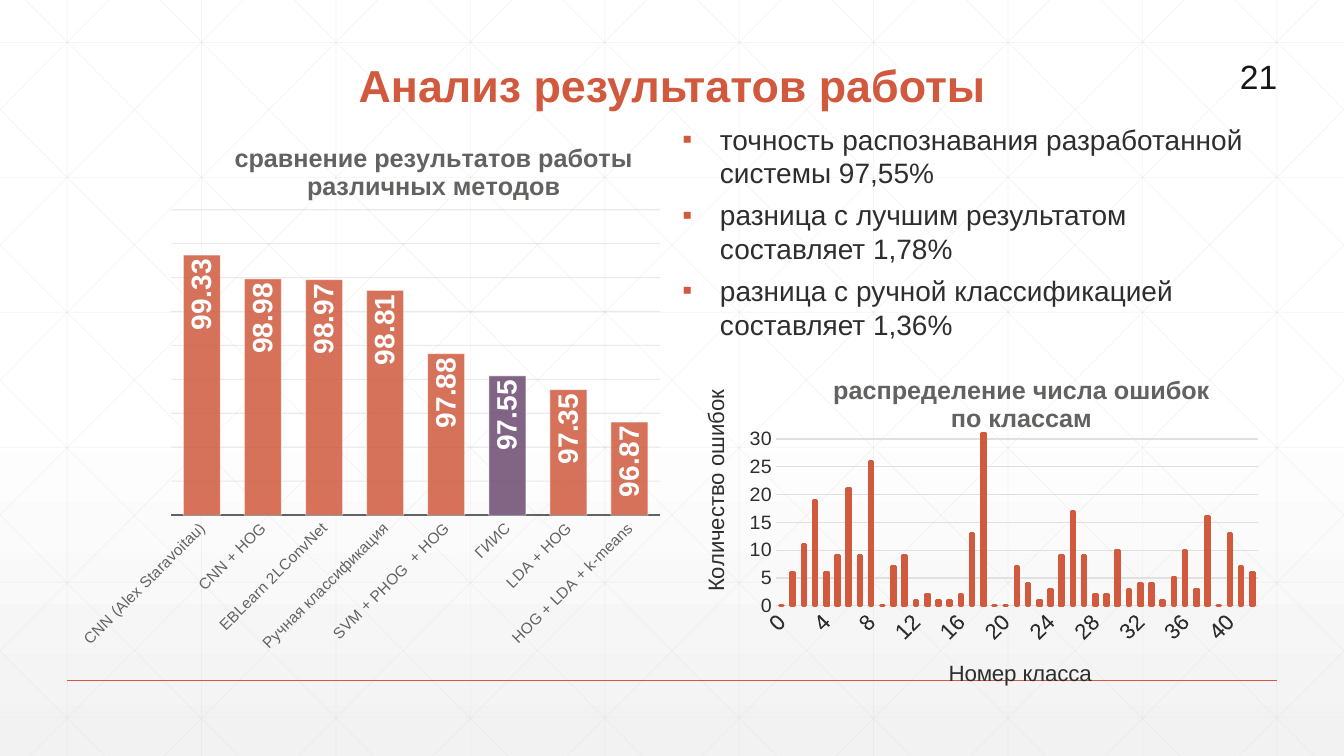
from dataclasses import dataclass

from lxml import etree
from pptx import Presentation
from pptx.chart.data import CategoryChartData
from pptx.dml.color import RGBColor
from pptx.enum.chart import XL_CHART_TYPE, XL_LABEL_POSITION, XL_TICK_MARK
from pptx.enum.shapes import MSO_CONNECTOR
from pptx.enum.text import MSO_ANCHOR, MSO_AUTO_SIZE, PP_ALIGN
from pptx.oxml.ns import qn
from pptx.util import Cm, Pt

COLUMNS = XL_CHART_TYPE.COLUMN_CLUSTERED
INSIDE_END = XL_LABEL_POSITION.INSIDE_END
NO_TICK = XL_TICK_MARK.NONE
STRAIGHT = MSO_CONNECTOR.STRAIGHT
MIDDLE, BOTTOM = MSO_ANCHOR.MIDDLE, MSO_ANCHOR.BOTTOM
LEFT, CENTER, RIGHT = PP_ALIGN.LEFT, PP_ALIGN.CENTER, PP_ALIGN.RIGHT

# Content
TITLE = "Анализ результатов работы"
PAGE_NUMBER = "21"
FINDINGS = [
    "точность распознавания разработанной системы 97,55%",
    "разница с лучшим результатом составляет 1,78%",
    "разница с ручной классификацией составляет 1,36%",
]
METHODS_TITLE = "сравнение результатов работы\nразличных методов"
OWN_METHOD = "ГИИС"
METHODS = {
    "CNN (Alex Staravoitau)": 99.33,
    "CNN + HOG": 98.98,
    "EBLearn 2LConvNet": 98.97,
    "Ручная классификация": 98.81,
    "SVM + PHOG  + HOG": 97.88,
    OWN_METHOD: 97.55,
    "LDA + HOG": 97.35,
    "HOG + LDA + k-means": 96.87,
}
ERRORS_TITLE = "распределение числа ошибок\nпо классам"
CLASS_AXIS, COUNT_AXIS = "Номер класса", "Количество ошибок"
ERRORS = [0, 6, 11, 19, 6, 9, 21, 9, 26, 0, 7, 9, 1, 2, 1, 1, 2, 13, 31, 0, 0, 7,
          4, 1, 3, 9, 17, 9, 2, 2, 10, 3, 4, 4, 1, 5, 10, 3, 16, 0, 13, 7, 6]


@dataclass(frozen=True)
class Theme:
    font: str = "Arial"
    accent: str = "D15A3E"
    highlight: str = "6D4A71"
    text: str = "2D2E2D"
    muted: str = "616361"
    number: str = "171717"
    white: str = "FFFFFF"
    shade: str = "F2F2F2"
    lattice: str = "D9D9D9"
    dark_grid: str = "373937"
    light_grid: str = "DFE0DF"
    title_size: int = 32
    number_size: int = 24
    body_size: int = 20
    chart_title_size: int = 18
    axis_size: int = 16
    value_size: int = 14
    method_size: int = 11


THEME = Theme()

# Geometry in centimetres: left, top, width, height
PAGE_WIDTH, PAGE_HEIGHT = 33.87, 19.05
TITLE_BOX = (3.61, 1.4, 26.67, 1.55)
NUMBER_BOX = (29.9, 1.6, 2.54, 0.61)
FINDINGS_BOX = (16.94, 2.95, 15.21, 5.82)
METHODS_BOX = (1.73, 2.95, 15.21, 13.74)
ERRORS_BOX = (16.97, 9.04, 15.19, 8.41)
LATTICE_STEP, ROW_TOP, ROW_STEP = PAGE_WIDTH / 10, 1.07, 3.4
DIAGONAL_START, DIAGONAL_SLOPE = 0.64, 1.006
RULE_TOP = 17.15


def color(code):
    return RGBColor.from_string(code)


def set_font(font, size, code, bold=False):
    font.name, font.size, font.bold = THEME.font, Pt(size), bold
    font.color.rgb = color(code)


def write(frame, text, size, code, bold=False, align=LEFT):
    frame.text = text
    for para in frame.paragraphs:
        para.alignment = align
        for span in para.runs:
            set_font(span.font, size, code, bold)


def place(shape, box):
    shape.left, shape.top, shape.width, shape.height = map(Cm, box)


def fade(element, path, percent):
    for code in element.xpath(path):
        etree.SubElement(code, qn("a:alpha")).set("val", str(percent * 1000))


def draw_line(page, start, end, code, width, opacity=100):
    line = page.shapes.add_connector(STRAIGHT, *map(Cm, start + end))
    line.line.color.rgb, line.line.width = color(code), Pt(width)
    etree.SubElement(line.element.spPr, qn("a:effectLst"))
    if opacity < 100:
        fade(line.element, ".//a:ln//a:srgbClr", opacity)


def draw_lattice(page):
    lines = [((x, 0), (x, PAGE_HEIGHT))
             for x in (LATTICE_STEP * (i + 0.5) for i in range(10))]
    lines += [((0, y), (PAGE_WIDTH, y))
              for y in (ROW_TOP + ROW_STEP * i for i in range(6))]
    for i in range(-5, 10):
        x = DIAGONAL_START + LATTICE_STEP * i
        first = max(x, 0)
        last = min(x + PAGE_HEIGHT / DIAGONAL_SLOPE, PAGE_WIDTH)
        y1, y2 = ((end - x) * DIAGONAL_SLOPE for end in (first, last))
        lines.append(((first, y1), (last, y2)))
        lines.append(((PAGE_WIDTH - first, y1), (PAGE_WIDTH - last, y2)))
    for start, end in lines:
        draw_line(page, start, end, THEME.lattice, 0.5, 25)


def set_layout(parent, index, **shares):
    """Fix a chart part at shares of the chart area."""
    for old in parent.findall(qn("c:layout")):
        parent.remove(old)
    layout = etree.Element(qn("c:layout"))
    manual = etree.SubElement(layout, qn("c:manualLayout"))
    if "w" in shares:
        etree.SubElement(manual, qn("c:layoutTarget")).set("val", "inner")
    for key in ("x", "y"):
        etree.SubElement(manual, qn(f"c:{key}Mode")).set("val", "edge")
    for key, share in shares.items():
        etree.SubElement(manual, qn(f"c:{key}")).set("val", str(share))
    parent.insert(index, layout)


def rotate(chart, path, degrees):
    body = chart.element.xpath(path + "/a:bodyPr")[0]
    body.set("rot", str(degrees * 60000))
    body.set("vert", "horz")


def write_title(title, text, size, code, x, y, bold=False):
    write(title.text_frame, text, size, code, bold, CENTER)
    set_layout(title.element, 1, x=x, y=y)


def add_columns(page, box, categories, values, title, title_at, plot, gap, overlap, grid):
    data = CategoryChartData()
    data.categories = categories
    data.add_series("Series 1", values)
    chart = page.shapes.add_chart(COLUMNS, *map(Cm, box), data).chart
    set_font(chart.font, 10, THEME.text)
    chart.has_legend = False
    chart.has_title = True
    write_title(chart.chart_title, title, THEME.chart_title_size, THEME.muted, *title_at, bold=True)
    set_layout(chart.element.xpath("//c:plotArea")[0], 0, **plot)
    columns = chart.plots[0]
    columns.vary_by_categories = False
    columns.gap_width, columns.overlap = gap, overlap
    for axis in (chart.category_axis, chart.value_axis):
        axis.major_tick_mark = axis.minor_tick_mark = NO_TICK
    lines = chart.value_axis.major_gridlines.format.line
    lines.color.rgb, lines.width = color(grid), Pt(0.75)
    return chart


def style_axis(axis, size, code, line=None, width=0.75):
    set_font(axis.tick_labels.font, size, code)
    if line:
        axis.format.line.color.rgb, axis.format.line.width = color(line), Pt(width)
    else:
        axis.format.line.fill.background()


def paint(part, fill, line, width):
    part.format.fill.solid()
    part.format.fill.fore_color.rgb = color(fill)
    part.format.line.color.rgb, part.format.line.width = color(line), Pt(width)


def add_methods_chart(page):
    chart = add_columns(page, METHODS_BOX, list(METHODS), list(METHODS.values()),
                        METHODS_TITLE, (0.27, 0.04), dict(x=0.17, y=0.17, w=0.81, h=0.56),
                        65, 0, THEME.dark_grid)
    fade(chart.element, "//c:majorGridlines//a:srgbClr", 10)
    axis = chart.value_axis
    axis.minimum_scale, axis.maximum_scale, axis.major_unit = 95.5, 100, 0.5
    axis.visible = False
    style_axis(chart.category_axis, THEME.method_size, THEME.muted, THEME.muted, 1.5)
    rotate(chart, "//c:catAx/c:txPr", -45)
    series = chart.plots[0].series[0]
    paint(series, THEME.accent, THEME.white, 0.75)
    paint(series.points[list(METHODS).index(OWN_METHOD)], THEME.highlight, THEME.white, 0.75)
    fade(chart.element, "//c:ser//c:spPr/a:solidFill/a:srgbClr", 85)
    fade(chart.element, "//c:ser//c:spPr/a:ln//a:srgbClr", 50)
    labels = series.data_labels
    labels.show_value, labels.position = True, INSIDE_END
    set_font(labels.font, THEME.body_size, THEME.white, bold=True)
    rotate(chart, "//c:ser/c:dLbls/c:txPr", -90)


def add_errors_chart(page):
    chart = add_columns(page, ERRORS_BOX, [str(i) for i in range(len(ERRORS))], ERRORS,
                        ERRORS_TITLE, (0.26, 0.04), dict(x=0.17, y=0.21, w=0.8, h=0.54),
                        219, -27, THEME.light_grid)
    classes, counts = chart.category_axis, chart.value_axis
    counts.minimum_scale, counts.maximum_scale, counts.major_unit = 0, 32, 5
    style_axis(classes, THEME.axis_size, THEME.text, THEME.light_grid)
    style_axis(counts, THEME.value_size, THEME.text)
    write_title(classes.axis_title, CLASS_AXIS, THEME.axis_size, THEME.text, 0.45, 0.9)
    write_title(counts.axis_title, COUNT_AXIS, THEME.axis_size, THEME.text, 0.04, 0.09)
    rotate(chart, "//c:catAx/c:txPr", -45)
    rotate(chart, "//c:valAx/c:title//c:rich", -90)
    paint(chart.plots[0].series[0], THEME.accent, THEME.accent, 2.25)


def add_bullet(para):
    props = para._p.get_or_add_pPr()
    props.set("marL", str(Cm(0.95)))
    props.set("indent", str(-Cm(0.95)))
    tint = etree.SubElement(props, qn("a:buClr"))
    etree.SubElement(tint, qn("a:srgbClr")).set("val", THEME.accent)
    etree.SubElement(props, qn("a:buFont")).set("typeface", THEME.font)
    etree.SubElement(props, qn("a:buChar")).set("char", "▪")


def main():
    deck = Presentation()
    deck.slide_width, deck.slide_height = Cm(PAGE_WIDTH), Cm(PAGE_HEIGHT)
    page = deck.slides.add_slide(deck.slide_layouts[1])

    # Background: white to pale grey, lattice and bottom rule
    fill = page.background.fill
    fill.gradient()
    fill.gradient_angle = 270
    for stop, code, position in zip(fill.gradient_stops, (THEME.white, THEME.shade), (0.53, 1)):
        stop.color.rgb, stop.position = color(code), position
    draw_lattice(page)
    draw_line(page, (LATTICE_STEP / 2, RULE_TOP), (PAGE_WIDTH - LATTICE_STEP / 2, RULE_TOP),
              THEME.accent, 1)

    # Title and findings, stacked above the lattice
    title, body = page.shapes.title, page.placeholders[1]
    for shape, box in ((title, TITLE_BOX), (body, FINDINGS_BOX)):
        page.shapes.element.append(shape.element)
        place(shape, box)
        shape.text_frame.auto_size = MSO_AUTO_SIZE.NONE
    write(title.text_frame, TITLE, THEME.title_size, THEME.accent, bold=True, align=CENTER)
    title.text_frame.vertical_anchor = BOTTOM
    title.text_frame.paragraphs[0].line_spacing = 0.9
    write(body.text_frame, "\n".join(FINDINGS), THEME.body_size, THEME.text)
    for para in body.text_frame.paragraphs:
        para.space_before, para.space_after = Pt(0), Pt(6)
        add_bullet(para)

    # Page number
    number = page.shapes.add_textbox(*map(Cm, NUMBER_BOX)).text_frame
    number.word_wrap, number.vertical_anchor = True, MIDDLE
    write(number, PAGE_NUMBER, THEME.number_size, THEME.number, align=RIGHT)

    # Charts
    add_methods_chart(page)
    add_errors_chart(page)
    deck.save("out.pptx")


if __name__ == "__main__":
    main()
